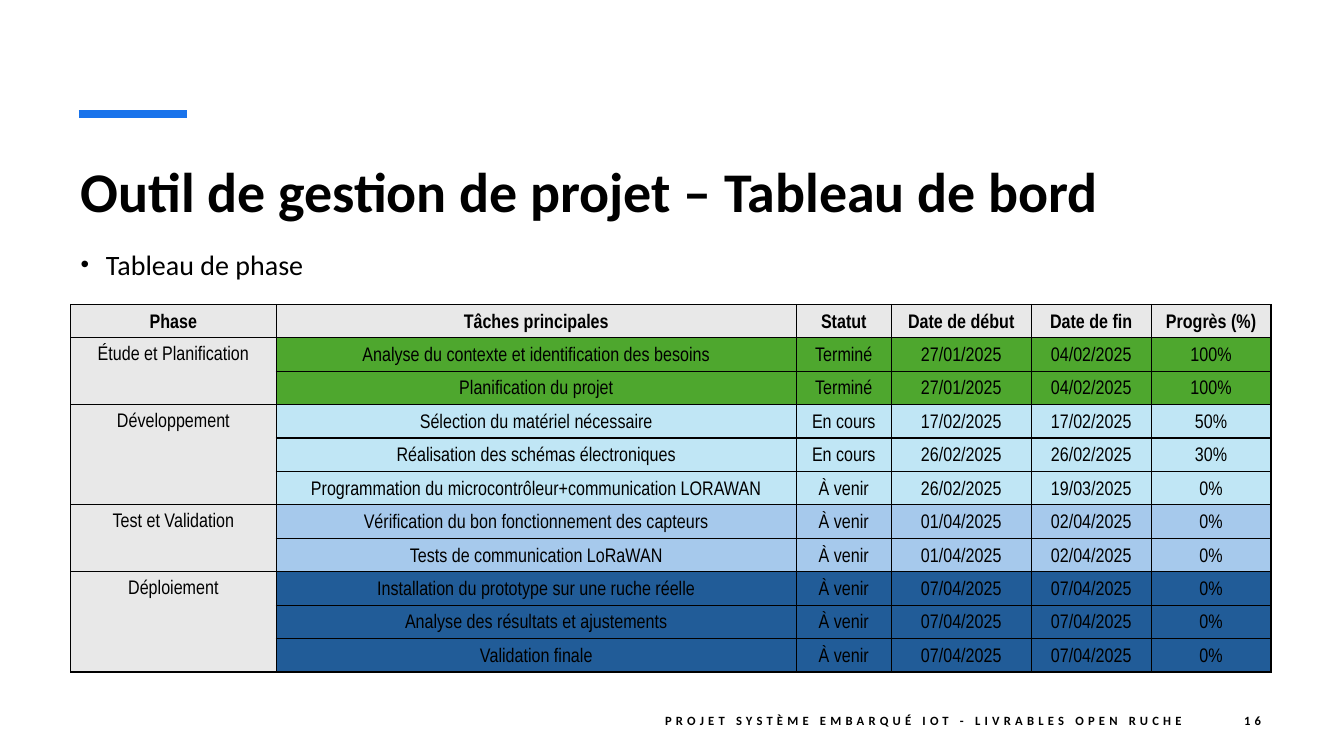
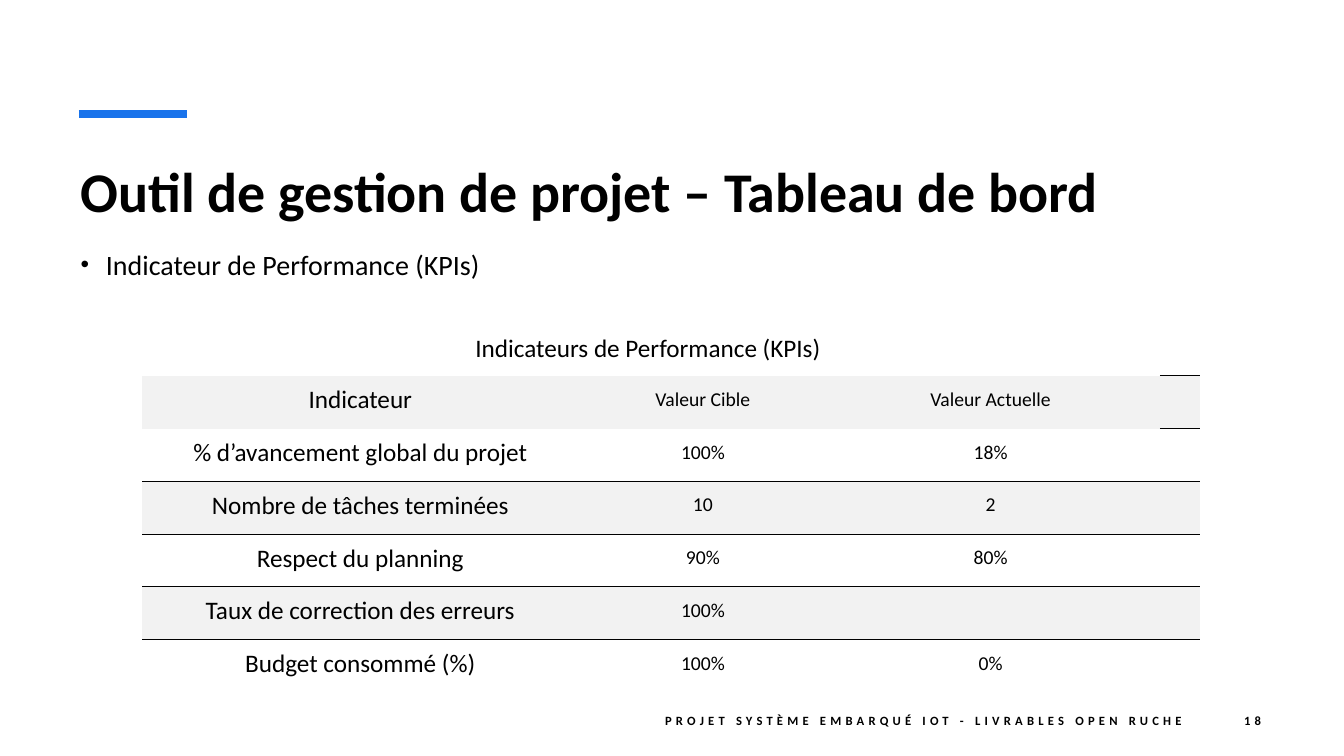
from dataclasses import dataclass

from lxml import etree
from pptx import Presentation
from pptx.dml.color import RGBColor
from pptx.enum.shapes import MSO_CONNECTOR
from pptx.enum.text import MSO_ANCHOR, MSO_AUTO_SIZE, PP_ALIGN
from pptx.oxml.ns import qn
from pptx.util import Cm, Pt

LEFT, CENTER, RIGHT = PP_ALIGN.LEFT, PP_ALIGN.CENTER, PP_ALIGN.RIGHT
TOP, MIDDLE, BOTTOM = MSO_ANCHOR.TOP, MSO_ANCHOR.MIDDLE, MSO_ANCHOR.BOTTOM
STRAIGHT = MSO_CONNECTOR.STRAIGHT

# Shared style
BLACK = RGBColor(0x00, 0x00, 0x00)
ACCENT = RGBColor(0x19, 0x73, 0xEB)
HEADER_GREY = RGBColor(0xE8, 0xE8, 0xE8)
BAND_GREY = RGBColor(0xF2, 0xF2, 0xF2)
GREEN = RGBColor(0x4E, 0xA7, 0x2E)
PALE_BLUE = RGBColor(0xC0, 0xE6, 0xF5)
MID_BLUE = RGBColor(0xA6, 0xC9, 0xEC)
DEEP_BLUE = RGBColor(0x21, 0x5C, 0x98)
BODY_FONT = "Calibri"
TABLE_FONT = "Arial Narrow"
NO_STYLE = "{2D5ABB26-0587-4C30-8999-92F81FD0307C}"
MARGIN, CONTENT_W = Cm(1.78), Cm(30.25)

TITLE = "Outil de gestion de projet – Tableau de bord"
FOOTER = "PROJET SYSTÈME EMBARQUÉ IOT - LIVRABLES OPEN RUCHE"


@dataclass(frozen=True)
class TextStyle:
    size: float
    font: str = BODY_FONT
    bold: bool = False
    align: PP_ALIGN = LEFT
    spacing: int = 0  # hundredths of a point


@dataclass(frozen=True)
class CellStyle:
    text: TextStyle
    margins: tuple[float, float, float, float]  # left, top, right, bottom in cm
    anchor: MSO_ANCHOR = MIDDLE


@dataclass(frozen=True)
class Phase:
    name: str
    color: RGBColor
    tasks: list[tuple[str, ...]]


TITLE_STYLE = TextStyle(40, bold=True)
BULLET_STYLE = TextStyle(20)
FOOTER_STYLE = TextStyle(9, bold=True, align=RIGHT, spacing=300)

TASK_MARGINS = (0.15, 0.03, 0.15, 0)
TASK_CELL = CellStyle(TextStyle(14, TABLE_FONT, align=CENTER), TASK_MARGINS)
HEAD_CELL = CellStyle(TextStyle(14, TABLE_FONT, True, CENTER), TASK_MARGINS)
PHASE_CELL = CellStyle(TASK_CELL.text, (0.33, 0.15, 0.33, 0.15), TOP)

KPI_MARGINS = (0, 0.08, 0.15, 0.3)
KPI_NAME = CellStyle(TextStyle(18, align=CENTER), KPI_MARGINS)
KPI_VALUE = CellStyle(TextStyle(14, align=CENTER), KPI_MARGINS)
KPI_TITLE = CellStyle(KPI_NAME.text, (0, 0.05, 0.15, 0.3), BOTTOM)

PHASE_HEADERS = ("Phase", "Tâches principales", "Statut", "Date de début",
                 "Date de fin", "Progrès (%)")
PHASES = [
    Phase("Étude et Planification", GREEN, [
        ("Analyse du contexte et identification des besoins", "Terminé",
         "27/01/2025", "04/02/2025", "100%"),
        ("Planification du projet", "Terminé", "27/01/2025", "04/02/2025", "100%"),
    ]),
    Phase("Développement", PALE_BLUE, [
        ("Sélection du matériel nécessaire", "En cours",
         "17/02/2025", "17/02/2025", "50%"),
        ("Réalisation des schémas électroniques", "En cours",
         "26/02/2025", "26/02/2025", "30%"),
        ("Programmation du microcontrôleur+communication LORAWAN", "À venir",
         "26/02/2025", "19/03/2025", "0%"),
    ]),
    Phase("Test et Validation", MID_BLUE, [
        ("Vérification du bon fonctionnement des capteurs", "À venir",
         "01/04/2025", "02/04/2025", "0%"),
        ("Tests de communication LoRaWAN", "À venir",
         "01/04/2025", "02/04/2025", "0%"),
    ]),
    Phase("Déploiement", DEEP_BLUE, [
        (task, "À venir", "07/04/2025", "07/04/2025", "0%")
        for task in ("Installation du prototype sur une ruche réelle",
                     "Analyse des résultats et ajustements", "Validation finale")
    ]),
]

KPI_CAPTION = "Indicateurs de Performance (KPIs)"
KPIS = [
    ("Indicateur", "Valeur Cible", "Valeur Actuelle"),
    ("% d’avancement global du projet", "100%", "18%"),
    ("Nombre de tâches terminées", "10", "2"),
    ("Respect du planning", "90%", "80%"),
    ("Taux de correction des erreurs", "100%", ""),
    ("Budget consommé (%)", "100%", "0%"),
]


def format_paragraph(p, style: TextStyle) -> None:
    p.alignment = style.align
    p.font.size = Pt(style.size)
    p.font.name = style.font
    p.font.bold = style.bold
    p.font.color.rgb = BLACK
    if style.spacing:
        p._p.get_or_add_pPr().get_or_add_defRPr().set("spc", str(style.spacing))


def add_text(s, text: str, style: TextStyle, left: int, top: int, width: int,
             height: int, anchor: MSO_ANCHOR = TOP):
    """Add a one-paragraph text box and return its paragraph."""
    tf = s.shapes.add_textbox(left, top, width, height).text_frame
    tf.word_wrap = True
    tf.vertical_anchor = anchor
    p = tf.paragraphs[0]
    p.text = text
    format_paragraph(p, style)
    return p


def add_bullet(s, text: str) -> None:
    p = add_text(s, text, BULLET_STYLE, MARGIN, Cm(5.94), CONTENT_W, Cm(1.35))
    p.line_spacing = 1.2
    p.space_before = Pt(10)
    pPr = p._p.get_or_add_pPr()
    pPr.set("marL", str(Cm(0.64)))
    pPr.set("indent", str(-Cm(0.64)))
    defaults = pPr.get_or_add_defRPr()
    for tag, key, value in (("a:buSzPct", "val", "87000"),
                            ("a:buFont", "typeface", "Arial"),
                            ("a:buChar", "char", "•")):
        bullet = etree.Element(qn(tag))
        bullet.set(key, value)
        defaults.addprevious(bullet)


def add_base_slide(prs, number: int, topic: str):
    """Add a slide with the accent line, title, topic bullet and footer."""
    s = prs.slides.add_slide(prs.slide_layouts[5])
    title = s.shapes.title
    title.left, title.top = MARGIN, Cm(3.81)
    title.width, title.height = CONTENT_W, Cm(3.05)
    tf = title.text_frame
    tf.text = TITLE
    tf.vertical_anchor = TOP
    tf.auto_size = MSO_AUTO_SIZE.NONE
    format_paragraph(tf.paragraphs[0], TITLE_STYLE)

    line = s.shapes.add_connector(STRAIGHT, Cm(1.99), Cm(2.87), Cm(4.71), Cm(2.87))
    line.line.color.rgb = ACCENT
    line.line.width = Pt(6)
    etree.SubElement(line._element.spPr, qn("a:effectLst"))

    add_bullet(s, topic)
    top, height = Cm(17.65), Cm(1.02)
    add_text(s, FOOTER, FOOTER_STYLE, Cm(14), top, Cm(16.02), height, MIDDLE)
    p = add_text(s, str(number), FOOTER_STYLE, Cm(30.02), top, Cm(2.01), height, MIDDLE)
    p.space_after = Pt(6)
    return s


def add_plain_table(s, left: float, top: float, widths: list[float],
                    heights: list[float]):
    """Add a table without built-in style; all lengths in cm."""
    frame = s.shapes.add_table(len(heights), len(widths), Cm(left), Cm(top),
                               Cm(sum(widths)), Cm(sum(heights)))
    table = frame.table
    table.first_row = table.horz_banding = False
    table._tbl.tblPr.find(qn("a:tableStyleId")).text = NO_STYLE
    for column, width in zip(table.columns, widths):
        column.width = Cm(width)
    for row, height in zip(table.rows, heights):
        row.height = Cm(height)
    return table


def set_borders(cell, sides: str, width: float) -> None:
    """Draw borders on the given sides, in the order L, R, T, B."""
    tcPr = cell._tc.get_or_add_tcPr()
    for side in sides:
        ln = etree.SubElement(tcPr, qn(f"a:ln{side}"), w=str(Pt(width)))
        fill = etree.SubElement(ln, qn("a:solidFill"))
        etree.SubElement(fill, qn("a:srgbClr"), val=str(BLACK))


def set_fill(cell, color: RGBColor | None) -> None:
    if color is None:
        cell.fill.background()
    else:
        cell.fill.solid()
        cell.fill.fore_color.rgb = color


def write_cell(cell, text: str, style: CellStyle) -> None:
    (cell.margin_left, cell.margin_top,
     cell.margin_right, cell.margin_bottom) = map(Cm, style.margins)
    cell.vertical_anchor = style.anchor
    p = cell.text_frame.paragraphs[0]
    p.text = text
    p.line_spacing = 1.15
    p.space_after = Pt(8)
    format_paragraph(p, style.text)


def add_phase_table(s) -> None:
    row_count = 1 + sum(len(phase.tasks) for phase in PHASES)
    table = add_plain_table(s, 1.78, 7.67, [5.18, 13.11, 2.39, 3.53, 3.02, 3.02],
                            [9.27 / row_count] * row_count)
    for cell in table.iter_cells():
        set_borders(cell, "LRTB", 1)
        set_fill(cell, HEADER_GREY)
    for col, header in enumerate(PHASE_HEADERS):
        write_cell(table.cell(0, col), header, HEAD_CELL)

    row = 1
    for phase in PHASES:
        first = table.cell(row, 0)
        first.merge(table.cell(row + len(phase.tasks) - 1, 0))
        write_cell(first, phase.name, PHASE_CELL)
        for task in phase.tasks:
            for col, text in enumerate(task, start=1):
                cell = table.cell(row, col)
                write_cell(cell, text, TASK_CELL)
                set_fill(cell, phase.color)
            row += 1


def add_kpi_table(s) -> None:
    table = add_plain_table(s, 3.58, 6.93, [11.15, 6.12, 8.38, 1.02],
                            [1.3, 1.24] + [1.33] * len(KPIS))
    # Rules under the two plain rows, plus a short one beside the caption
    set_borders(table.cell(1, 3), "B", 0.75)
    set_borders(table.cell(2, 3), "T", 0.75)
    for col in range(4):
        for row in (3, 5):
            set_borders(table.cell(row, col), "B", 0.75)
            set_borders(table.cell(row + 1, col), "T", 0.75)
    for cell in table.iter_cells():
        set_fill(cell, None)

    caption = table.cell(0, 0)
    caption.merge(table.cell(1, 2))
    write_cell(caption, KPI_CAPTION, KPI_TITLE)
    for row, values in enumerate(KPIS, start=2):
        for col, text in enumerate(values):
            if text:
                write_cell(table.cell(row, col), text, KPI_VALUE if col else KPI_NAME)
        if row % 2 == 0:
            for col in range(4):
                set_fill(table.cell(row, col), BAND_GREY)


def main() -> None:
    prs = Presentation()
    prs.slide_width, prs.slide_height = Cm(33.87), Cm(19.05)
    add_phase_table(add_base_slide(prs, 16, "Tableau de phase"))
    add_kpi_table(add_base_slide(prs, 18, "Indicateur de Performance (KPIs)"))
    prs.save("out.pptx")


if __name__ == "__main__":
    main()
